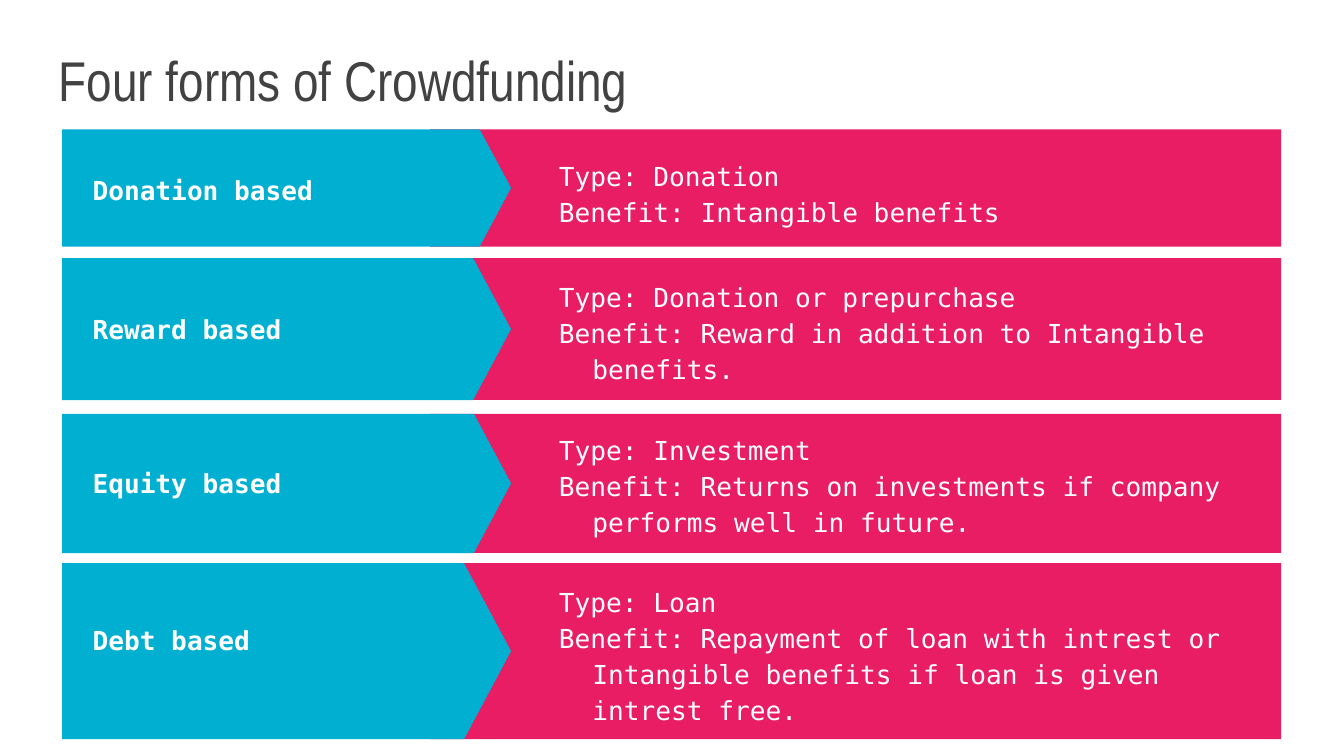
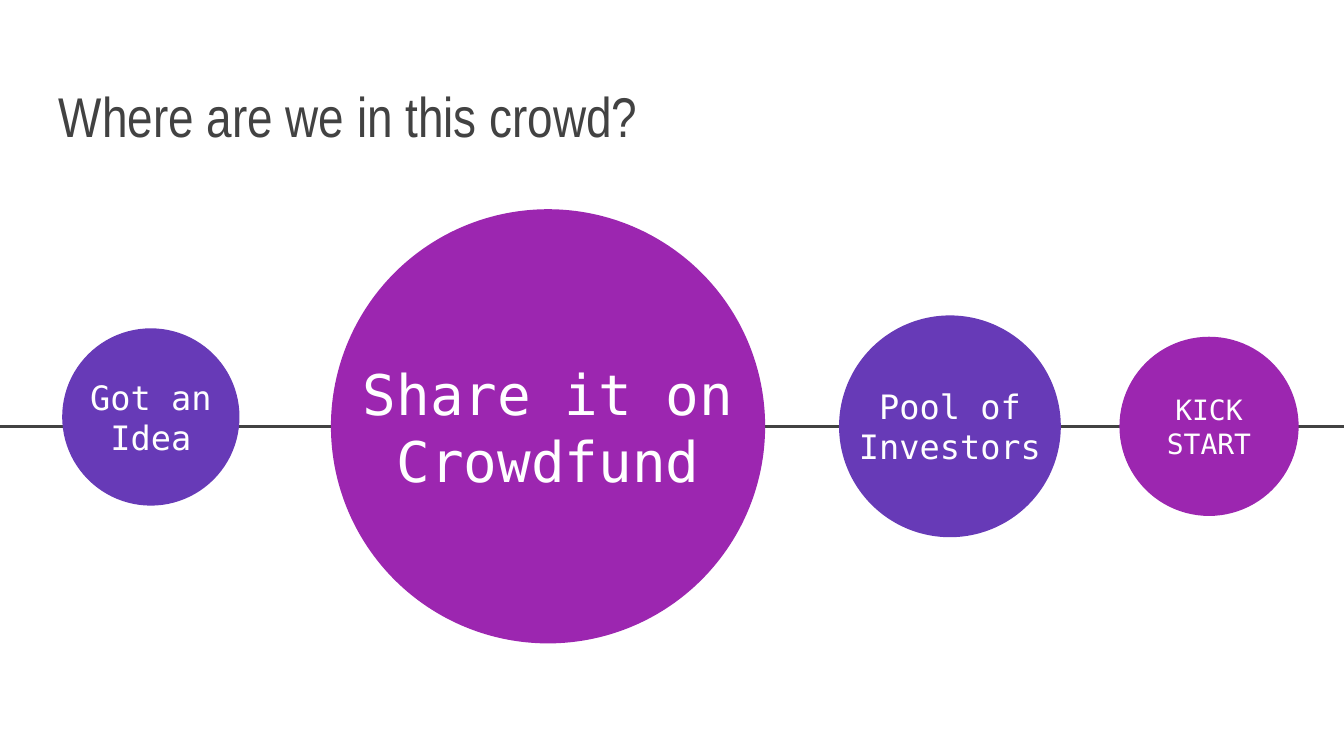
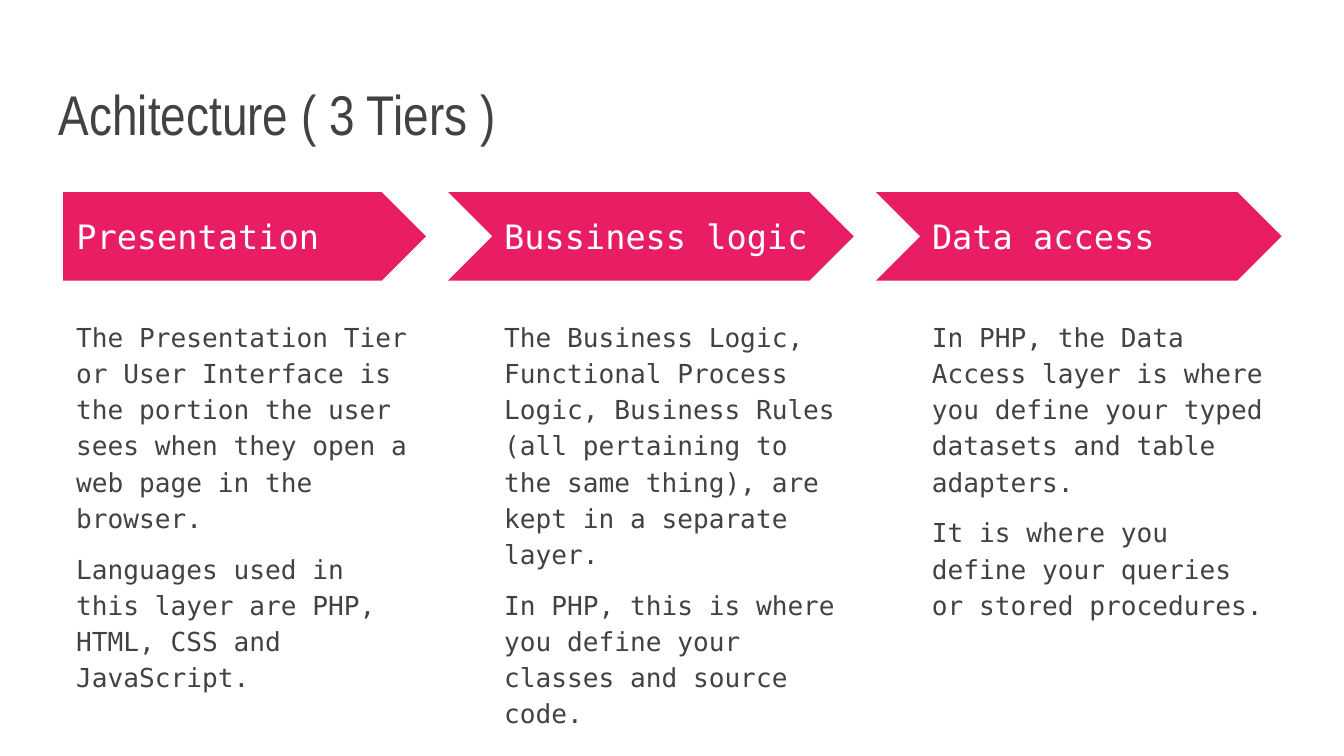
import pptx
import pptx.dml.color
import pptx.enum.shapes
import pptx.enum.text
import pptx.util
from dataclasses import dataclass
from typing import Any
from lxml import etree

Pt = pptx.util.Pt
SHAPE = pptx.enum.shapes.MSO_SHAPE
ALIGN = pptx.enum.text.PP_ALIGN
ANCHOR = pptx.enum.text.MSO_ANCHOR

# Shared look
DARK, WHITE = "424242", "FFFFFF"
PINK, CYAN = "E91D63", "01AFD1"
INDIGO, PURPLE = "673AB7", "9C26B0"
TITLE_FONT, BODY_FONT = "Arial Narrow", "DejaVu Sans Mono"
INSET = 7.2


@dataclass
class TextStyle:
    size: float
    color: str = WHITE
    font: str = BODY_FONT
    bold: bool = False
    align: Any = ALIGN.LEFT
    anchor: Any = ANCHOR.MIDDLE
    line_spacing: float = 1.0
    space_after: float = 0
    hanging: float = 0


@dataclass
class FundingForm:
    name: str
    kind: str
    benefit: str
    top: float
    height: float
    name_top: float
    detail_top: float


@dataclass
class Step:
    label: str
    center_x: float
    center_y: float
    diameter: float
    label_width: float
    size: float
    color: str


@dataclass
class Tier:
    name: str
    paragraphs: list[str]


TITLE = TextStyle(30, DARK, TITLE_FONT, anchor=ANCHOR.TOP)
FORM_NAME = TextStyle(14, bold=True)
FORM_DETAIL = TextStyle(14, line_spacing=1.15, hanging=18)
TIER_NAME = TextStyle(18)
TIER_BODY = TextStyle(14, DARK, anchor=ANCHOR.TOP, line_spacing=1.15, space_after=8)

FORMS = [
    FundingForm("Donation based", "Donation", "Intangible benefits",
                69.3, 62.8, 70.8, 71.3),
    FundingForm("Reward based", "Donation or prepurchase",
                "Reward in addition to Intangible benefits.",
                138.3, 76, 145, 139.2),
    FundingForm("Equity based", "Investment",
                "Returns on investments if company performs well in future.",
                221.7, 74.6, 227.8, 221.8),
    FundingForm("Debt based", "Loan",
                "Repayment of loan with intrest or Intangible benefits "
                "if loan is given intrest free.",
                301.7, 94.3, 311.8, 303),
]

AXIS_Y = 228.4
STEPS = [
    Step("Got an Idea", 80.8, 223.4, 95, 104.4, 18, INDIGO),
    Step("Share it on Crowdfund", 293.6, AXIS_Y, 232.6, 232.6, 30, PURPLE),
    Step("Pool of Investors", 508.9, AXIS_Y, 118.8, 118.8, 18, INDIGO),
    Step("KICK START", 647.7, AXIS_Y, 96, 80, 15, PURPLE),
]

TIERS = [
    Tier("Presentation", [
        "The Presentation Tier or User Interface is the portion the user sees "
        "when they open a web page in the browser.",
        "Languages used in this layer are PHP, HTML, CSS and JavaScript."]),
    Tier("Bussiness logic", [
        "The Business Logic, Functional Process Logic, Business Rules (all "
        "pertaining to the same thing), are kept in a separate layer.",
        "In PHP, this is where you define your classes and source code."]),
    Tier("Data access", [
        "In PHP, the Data Access layer is where you define your typed datasets "
        "and table adapters.",
        "It is where you define your queries or stored procedures."]),
]


def rgb(color: str) -> pptx.dml.color.RGBColor:
    return pptx.dml.color.RGBColor.from_string(color)


def add_text(s: Any, paragraphs: list[str], left: float, top: float,
             width: float, height: float, style: TextStyle) -> None:
    tf = s.shapes.add_textbox(Pt(left), Pt(top), Pt(width), Pt(height)).text_frame
    tf.word_wrap = True
    tf.vertical_anchor = style.anchor
    tf.margin_left = tf.margin_right = tf.margin_top = tf.margin_bottom = Pt(INSET)
    for i, text in enumerate(paragraphs):
        p = tf.add_paragraph() if i else tf.paragraphs[0]
        p.text = text
        p.alignment = style.align
        p.line_spacing = style.line_spacing
        p.space_after = Pt(style.space_after)
        p.font.name = style.font
        p.font.size = Pt(style.size)
        p.font.bold = style.bold
        p.font.color.rgb = rgb(style.color)
        if style.hanging:
            pPr = p._p.get_or_add_pPr()
            pPr.set("marL", str(Pt(2 * style.hanging)))
            pPr.set("indent", str(-Pt(style.hanging)))


def add_block(shapes: Any, kind: Any, left: float, top: float, width: float,
              height: float, color: str) -> Any:
    sp = shapes.add_shape(kind, Pt(left), Pt(top), Pt(width), Pt(height))
    sp.shadow.inherit = False
    sp.fill.solid()
    sp.fill.fore_color.rgb = rgb(color)
    sp.line.fill.background()
    return sp


def add_axis(s: Any, y: float, width: float) -> None:
    line = s.shapes.add_connector(pptx.enum.shapes.MSO_CONNECTOR.STRAIGHT,
                                  Pt(0), Pt(y), Pt(width), Pt(y))
    line.line.color.rgb = rgb(DARK)
    line.line.width = Pt(1.5)
    spPr = line._element.spPr
    etree.SubElement(spPr, pptx.oxml.ns.qn("a:effectLst"))


def new_slide(prs: Any, title: str, title_top: float) -> Any:
    s = prs.slides.add_slide(prs.slide_layouts[6])
    s.background.fill.solid()
    s.background.fill.fore_color.rgb = rgb(WHITE)
    add_text(s, [title], 24.5, title_top, 671, 45.4, TITLE)
    return s


def build_forms(prs: Any) -> None:
    s = new_slide(prs, "Four forms of Crowdfunding", 17.3)
    for form in FORMS:
        band = s.shapes.add_group_shape().shapes
        add_block(band, SHAPE.RECTANGLE, 230.4, form.top, 455.9, form.height, PINK)
        sp = add_block(band, SHAPE.PENTAGON, 33.3, form.top, 240.5, form.height, CYAN)
        sp.adjustments[0] = 0.267
        add_text(s, [form.name], 42.5, form.name_top, 190.8, 62.3, FORM_NAME)
        add_text(s, [f"Type: {form.kind}", f"Benefit: {form.benefit}"],
                 274.3, form.detail_top, 402.5, form.height, FORM_DETAIL)


def build_steps(prs: Any) -> None:
    s = new_slide(prs, "Where are we in this crowd?", 36.6)
    add_axis(s, AXIS_Y, 720)
    label_height = 47.5
    for step in STEPS:
        radius = step.diameter / 2
        add_block(s.shapes, SHAPE.OVAL, step.center_x - radius,
                  step.center_y - radius, step.diameter, step.diameter, step.color)
        add_text(s, [step.label], step.center_x - step.label_width / 2,
                 step.center_y - label_height / 2, step.label_width, label_height,
                 TextStyle(step.size, align=ALIGN.CENTER))


def build_tiers(prs: Any) -> None:
    s = new_slide(prs, "Achitecture ( 3 Tiers )", 35.3)
    left, pitch, width, notch = 33.8, 229.2, 194.4, 23
    for i, tier in enumerate(TIERS):
        x = left + i * pitch
        # Later arrows start earlier to make room for their notch
        kind, lead = (SHAPE.CHEVRON, notch) if i else (SHAPE.PENTAGON, 0)
        add_block(s.shapes, kind, x - lead, 102.9, width + lead, 47.5, PINK)
        add_text(s, [tier.name], x, 114.5, 178, 24.5, TIER_NAME)
        add_text(s, tier.paragraphs, x, 162.7, width, 208.8, TIER_BODY)


def main() -> None:
    prs = pptx.Presentation()
    prs.slide_width, prs.slide_height = Pt(720), Pt(405)
    build_forms(prs)
    build_steps(prs)
    build_tiers(prs)
    prs.save("out.pptx")


if __name__ == "__main__":
    main()
